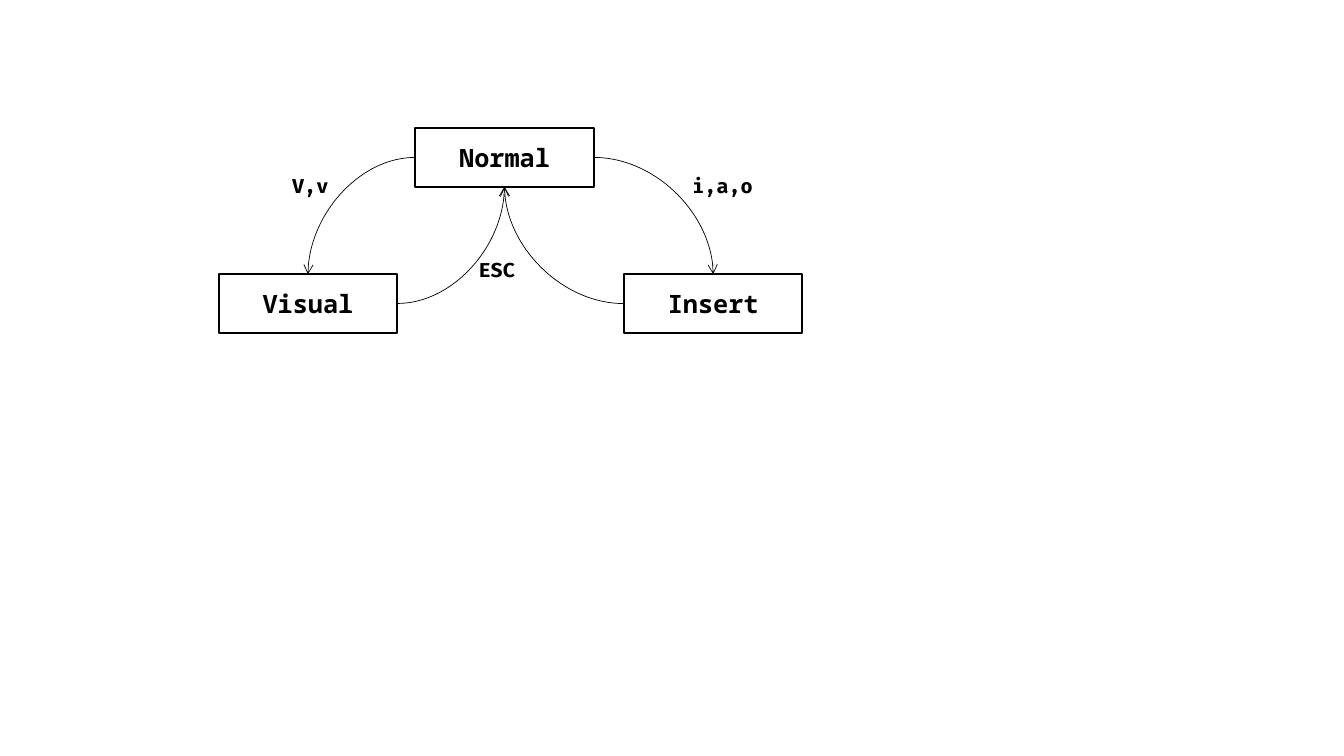
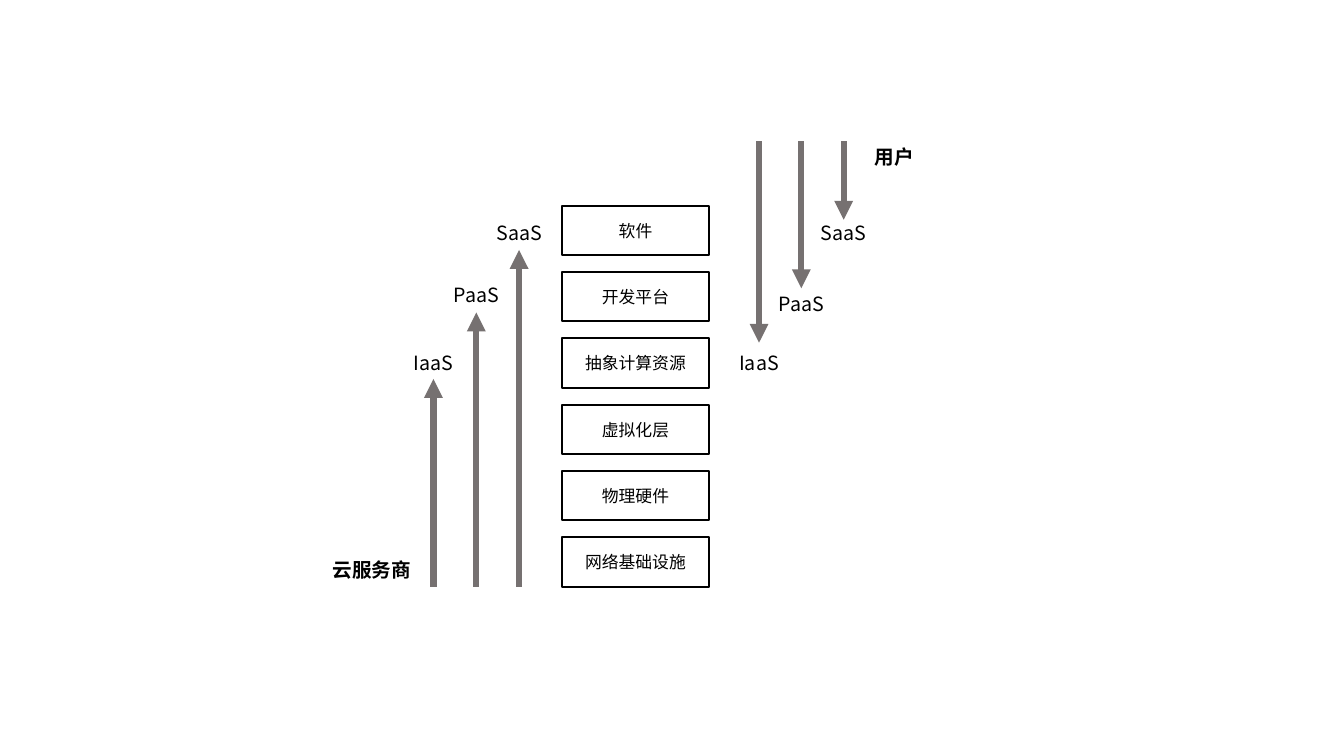
from dataclasses import dataclass

from lxml.etree import SubElement
from pptx import Presentation
from pptx.dml.color import RGBColor
from pptx.enum.shapes import MSO_CONNECTOR as Connector, MSO_SHAPE as Shape
from pptx.enum.text import MSO_ANCHOR as Anchor, MSO_AUTO_SIZE as AutoSize, PP_ALIGN as Align
from pptx.oxml.ns import qn
from pptx.util import Inches, Pt

COLUMNS, ROWS = 160, 90
SLIDE_WIDTH, SLIDE_HEIGHT = Inches(13.33), Inches(7.5)
COLORS = {"ink": "000000", "arrow": "767171"}
FONTS = {"mode": "Noto Sans Mono", "key": "Fira Code", "chinese": "Noto Sans CJK SC"}
TOP, LEFT, BOTTOM, RIGHT = range(4)


@dataclass
class Box:
    left: float
    top: float
    width: float
    height: float

    def inner(self, left, top, width, height):
        return Box(self.left + left, self.top + top, width, height)

    def emu(self):
        return (across(self.left), down(self.top), across(self.width), down(self.height))


def across(columns):
    return round(SLIDE_WIDTH * columns / COLUMNS)


def down(rows):
    return round(SLIDE_HEIGHT * rows / ROWS)


def color(name):
    return RGBColor.from_string(COLORS[name])


def write(shape, text, font, size, bold, align):
    frame = shape.text_frame
    frame.word_wrap = True
    frame.text = text
    paragraph = frame.paragraphs[0]
    paragraph.alignment = align
    run = paragraph.runs[0]
    run.font.size = Pt(size)
    run.font.bold = bold
    run.font.color.rgb = color("ink")
    run.font.name = FONTS[font]
    SubElement(run.font._element, qn("a:ea")).set("typeface", FONTS[font])


def add_label(slide, box, text, font="chinese", bold=False, align=Align.LEFT):
    label = slide.shapes.add_textbox(*box.emu())
    write(label, text, font, 14, bold, align)
    label.text_frame.auto_size = AutoSize.SHAPE_TO_FIT_TEXT


def add_frame(slide, box, text, font, size, bold=False):
    shape = slide.shapes.add_shape(Shape.RECTANGLE, *box.emu())
    shape.shadow.inherit = False
    shape.fill.background()
    shape.line.color.rgb = color("ink")
    shape.line.width = Pt(1.5)
    shape.text_frame.vertical_anchor = Anchor.MIDDLE
    write(shape, text, font, size, bold, Align.CENTER)
    return shape


def style_arrow(connector, color_name, width, head):
    connector.line.color.rgb = color(color_name)
    connector.line.width = Pt(width)
    properties = connector._element.spPr
    SubElement(properties.find(qn("a:ln")), qn("a:tailEnd")).set("type", head)
    SubElement(properties, qn("a:effectLst"))


def add_curve(slide, start, start_side, end, end_side):
    connector = slide.shapes.add_connector(Connector.CURVE, 0, 0, 0, 0)
    connector.begin_connect(start, start_side)
    connector.end_connect(end, end_side)
    properties = connector._element.spPr
    properties.find(qn("a:prstGeom")).set("prst", "curvedConnector2")
    transform = properties.find(qn("a:xfrm"))
    if transform.flipH:
        transform.flipH = False
        transform.flipV = not transform.flipV
        transform.set("rot", "10800000")
    style_arrow(connector, "ink", 0.5, "arrow")


def add_mode_diagram(slide, region):
    places = {"Visual": (0, 17.4), "Normal": (23.4, 0), "Insert": (48.24, 17.4)}
    modes = {
        name: add_frame(slide, region.inner(*place, 21.24, 7), name, "mode", 18, True)
        for name, place in places.items()
    }
    for name, side in (("Visual", LEFT), ("Insert", RIGHT)):
        add_curve(slide, modes["Normal"], side, modes[name], TOP)
        add_curve(slide, modes[name], LEFT + RIGHT - side, modes["Normal"], BOTTOM)
    for keys, left, top in (("V,v", 7.56, 4.92), ("ESC", 29.76, 14.88), ("i,a,o", 55.2, 4.92)):
        add_label(slide, region.inner(left, top, 12.12, 4.08), keys, "key", True)


def add_layer_stack(slide, region, layers):
    height = 5.88
    pitch = (region.height - height) / (len(layers) - 1)
    for index, layer in enumerate(layers):
        add_frame(slide, region.inner(0, index * pitch, region.width, height), layer, "chinese", 12)


def add_service_arrows(slide, region, party, party_place, tail, services):
    pitch = region.width / (len(services) - 1)
    for index, (service, tip, label_top) in enumerate(services):
        center = index * pitch
        x = across(region.left + center)
        connector = slide.shapes.add_connector(
            Connector.STRAIGHT, x, down(region.top + tail), x, down(region.top + tip)
        )
        style_arrow(connector, "arrow", 4.5, "triangle")
        label_box = region.inner(center - 5.04, label_top, 10.08, 4.08)
        add_label(slide, label_box, service, align=Align.CENTER)
    add_label(slide, region.inner(*party_place, 17.76, 4.08), party, bold=True)


def add_cloud_diagram(slide, region):
    layers = ["软件", "开发平台", "抽象计算资源", "虚拟化层", "物理硬件", "网络基础设施"]
    add_layer_stack(slide, region.inner(28.56, 7.8, 17.4, 45.36), layers)
    provider = region.inner(13.2, 9, 10.2, 44.16)
    add_service_arrows(
        slide, provider, "云服务商", (-13.2, 40.2), provider.height,
        [("IaaS", 19.44, 15.48), ("PaaS", 11.52, 7.44), ("SaaS", 4.08, 0)],
    )
    user = region.inner(51.96, 0.12, 10.08, 28.44)
    add_service_arrows(
        slide, user, "用户", (12.6, -0.12), 0,
        [("IaaS", 24, 24.36), ("PaaS", 17.52, 17.4), ("SaaS", 9.36, 8.88)],
    )


def main():
    presentation = Presentation()
    presentation.slide_width = SLIDE_WIDTH
    presentation.slide_height = SLIDE_HEIGHT
    diagrams = (
        (add_mode_diagram, Box(26.04, 15.24, 69.48, 24.4)),
        (add_cloud_diagram, Box(38.4, 16.68, 82.32, 53.16)),
    )
    for add_diagram, region in diagrams:
        slide = presentation.slides.add_slide(presentation.slide_layouts[6])
        add_diagram(slide, region)
    presentation.save("out.pptx")


if __name__ == "__main__":
    main()
